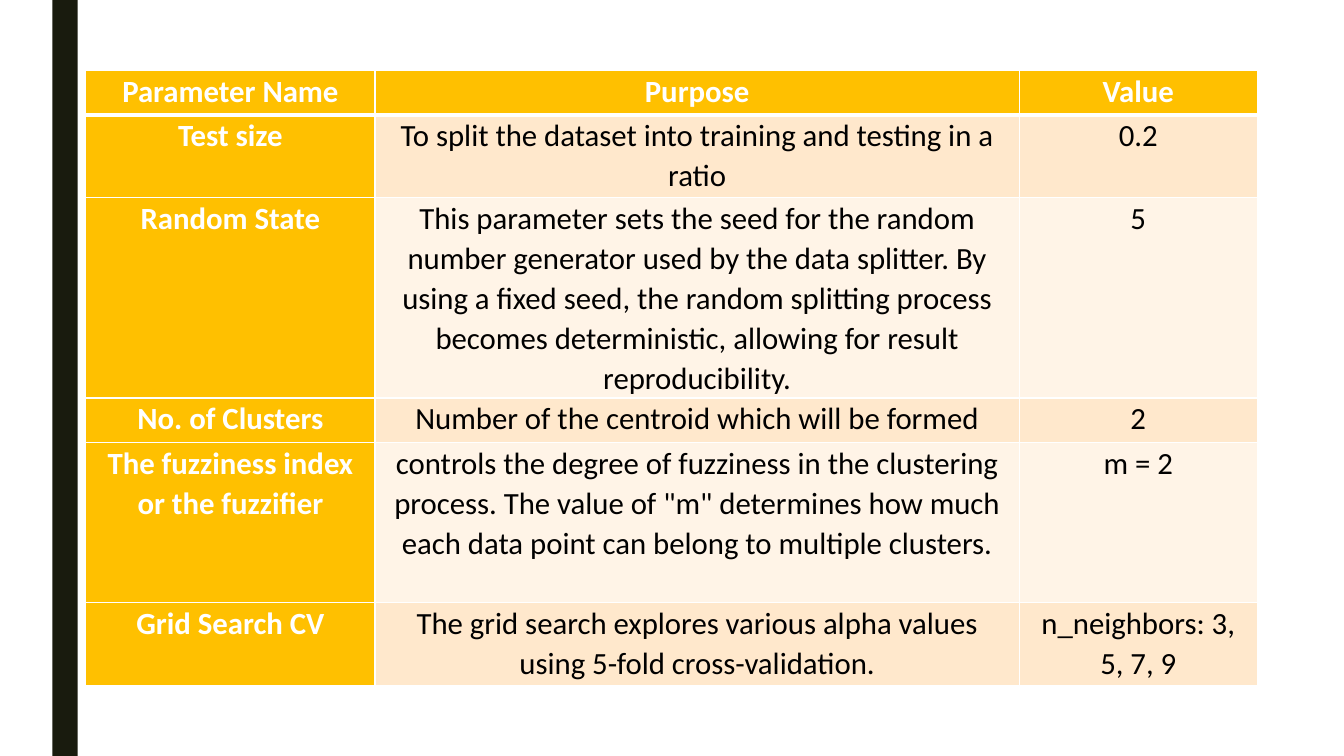
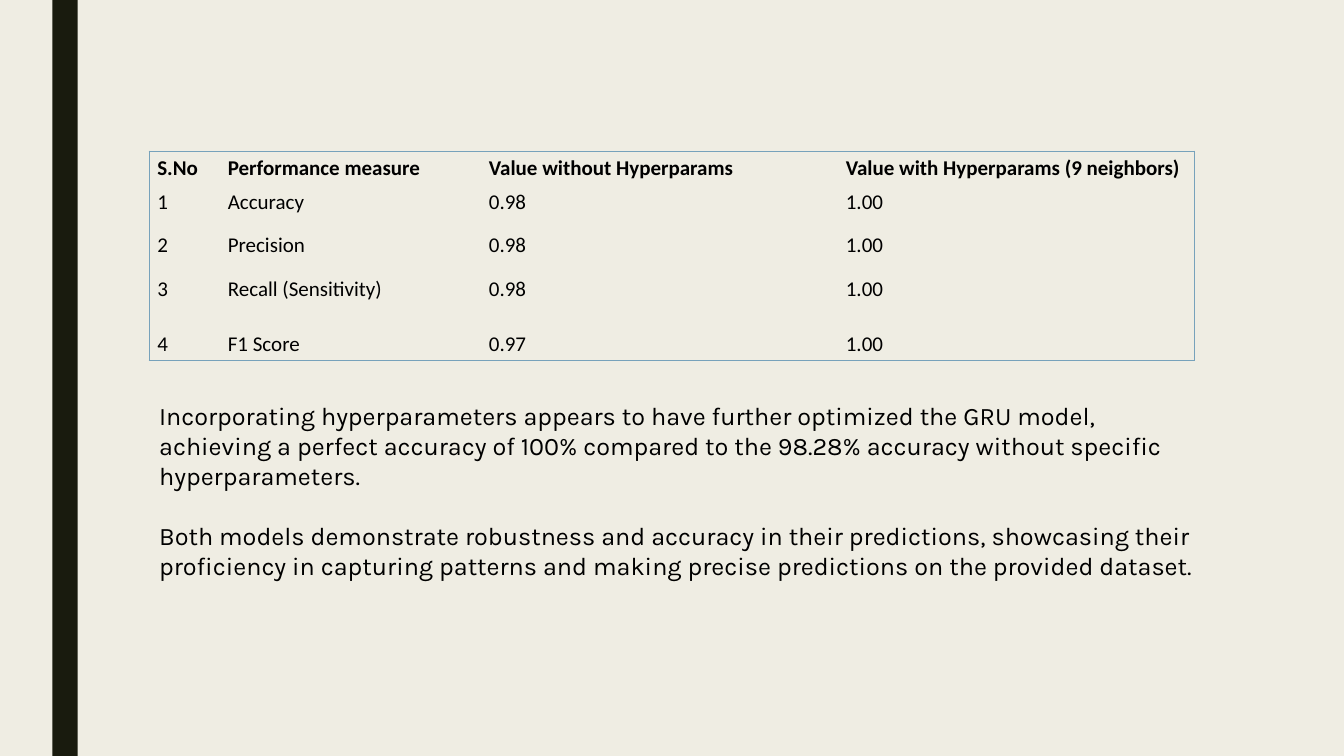
from dataclasses import dataclass

from lxml import etree
from pptx import Presentation
from pptx.dml.color import RGBColor
from pptx.enum import shapes, text
from pptx.oxml.ns import qn
from pptx.util import Inches, Pt


@dataclass(frozen=True)
class Theme:
    paper: str = "EFEDE3"
    white: str = "FFFFFF"
    black: str = "000000"
    band: str = "191B0E"
    gold: str = "FFC000"
    stripes: tuple = ("FFE8CC", "FFF4E7")
    frame: str = "77A2BB"
    table_font: str = "Calibri"
    body_font: str = "Karla"
    parameter_size: int = 22
    measure_size: int = 15
    body_size: int = 18


THEME = Theme()
PLAIN_TABLE_STYLE = "{2D5ABB26-0587-4C30-8999-92F81FD0307C}"

PARAMETERS = [
    ("Parameter Name", "Purpose", "Value"),
    ("Test size", "To split the dataset into training and testing in a ratio", "0.2"),
    ("Random State",
     "This parameter sets the seed for the random number generator used by the "
     "data splitter. By using a fixed seed, the random splitting process becomes "
     "deterministic, allowing for result reproducibility.", "5"),
    ("No. of Clusters", "Number of the centroid which will be formed", "2"),
    ("The fuzziness index or the fuzzifier",
     "controls the degree of fuzziness in the clustering process. The value of "
     '"m" determines how much each data point can belong to multiple clusters.',
     "m = 2"),
    ("Grid Search CV",
     "The grid search explores various alpha values using 5-fold cross-validation.",
     "n_neighbors: 3, 5, 7, 9"),
]
PARAMETER_COLUMNS = (2.87, 6.39, 2.36)
PARAMETER_ROWS = (0.44, 0.82, 1.98, 0.44, 1.59, 0.82)

MEASURES = [
    ("S.No", "Performance measure", "Value without Hyperparams",
     "Value with Hyperparams (9 neighbors)"),
    ("1", "Accuracy", "0.98", "1.00"),
    ("2", "Precision", "0.98", "1.00"),
    ("3", "Recall (Sensitivity)", "0.98", "1.00"),
    ("4", "F1 Score", "0.97", "1.00"),
]
MEASURE_COLUMNS = (0.7, 2.59, 3.54, 3.54)
MEASURE_ROWS = (0.34, 0.43, 0.43, 0.55, 0.31)

FINDINGS = [
    "Incorporating hyperparameters appears to have further optimized the GRU model, "
    "achieving a perfect accuracy of 100% compared to the 98.28% accuracy without "
    "specific hyperparameters.",
    "Both models demonstrate robustness and accuracy in their predictions, showcasing "
    "their proficiency in capturing patterns and making precise predictions on the "
    "provided dataset.",
]


def paint(fill, color):
    fill.solid()
    fill.fore_color.rgb = RGBColor.from_string(color)


def style_font(font, name, size, color, bold=False):
    font.name, font.size, font.bold = name, Pt(size), bold
    font.color.rgb = RGBColor.from_string(color)


def set_borders(cell, color, widths):
    """Draw cell edges; widths maps L, R, T, B to points, 0 for none."""
    properties = cell._tc.get_or_add_tcPr()
    for place, side in enumerate("LRTB"):
        width = widths.get(side, 0)
        edge = etree.Element(qn(f"a:ln{side}"), w=str(Pt(width)))
        if width:
            solid = etree.SubElement(edge, qn("a:solidFill"))
            etree.SubElement(solid, qn("a:srgbClr"), val=color)
        else:
            etree.SubElement(edge, qn("a:noFill"))
        properties.insert(place, edge)


def add_grid(slide, left, top, columns, rows, content, margins, style_cell):
    """Add a table and pass every filled cell to style_cell(cell, row, column)."""
    frame = slide.shapes.add_table(
        len(rows), len(columns), Inches(left), Inches(top),
        Inches(sum(columns)), Inches(sum(rows)))
    table = frame.table
    table.first_row = table.horz_banding = False
    frame.element.find(".//" + qn("a:tableStyleId")).text = PLAIN_TABLE_STYLE
    for column, width in zip(table.columns, columns):
        column.width = Inches(width)
    side, end = map(Inches, margins)
    for r, (height, words) in enumerate(zip(rows, content)):
        table.rows[r].height = Inches(height)
        for c, word in enumerate(words):
            cell = table.cell(r, c)
            cell.text = word
            cell.margin_left = cell.margin_right = side
            cell.margin_top = cell.margin_bottom = end
            style_cell(cell, r, c)


def style_parameter(cell, row, column):
    heading = row == 0 or column == 0
    paragraph = cell.text_frame.paragraphs[0]
    paragraph.alignment = text.PP_ALIGN.CENTER
    paragraph.line_spacing = 1.07
    paragraph.space_after = Pt(8)
    style_font(paragraph.font, THEME.table_font, THEME.parameter_size,
               THEME.white if heading else THEME.black, heading)
    paint(cell.fill, THEME.gold if heading else THEME.stripes[(row - 1) % 2])
    set_borders(cell, THEME.white, {
        "L": 1, "R": 1, "T": 3 if row == 1 else 1, "B": 3 if row == 0 else 1})


def style_measure(cell, row, column):
    style_font(cell.text_frame.paragraphs[0].font, THEME.table_font,
               THEME.measure_size, THEME.black, row == 0)
    cell.fill.background()
    set_borders(cell, THEME.frame, {
        "L": column == 0, "R": column == len(MEASURE_COLUMNS) - 1,
        "T": row == 0, "B": row == len(MEASURE_ROWS) - 1})


def add_findings(slide):
    box = slide.shapes.add_textbox(
        Inches(1.48), Inches(3.92), Inches(10.51), Inches(1.92))
    frame = box.text_frame
    frame.word_wrap = True
    frame.text = "\n".join(FINDINGS)
    for paragraph in frame.paragraphs:
        style_font(paragraph.font, THEME.body_font, THEME.body_size, THEME.black)
    for paragraph in frame.paragraphs[1:]:
        paragraph.space_before = Pt(21)


def set_up_master(prs, slide):
    """Give the master its background and side band, drawn first on a slide."""
    master = prs.slide_master
    paint(master.background.fill, THEME.paper)
    band = slide.shapes.add_shape(
        shapes.MSO_SHAPE.RECTANGLE, Inches(0.52), 0, Inches(0.25), prs.slide_height)
    paint(band.fill, THEME.band)
    band.line.fill.background()
    band.shadow.inherit = False
    master.shapes.element.insert(2, band.element)


def main():
    prs = Presentation()
    prs.slide_width, prs.slide_height = Inches(13.33), Inches(7.5)
    blank = prs.slide_layouts[6]

    parameters = prs.slides.add_slide(blank)
    set_up_master(prs, parameters)
    paint(parameters.background.fill, THEME.white)
    add_grid(parameters, 0.85, 0.7, PARAMETER_COLUMNS, PARAMETER_ROWS,
             PARAMETERS, (0.13, 0), style_parameter)

    results = prs.slides.add_slide(blank)
    add_findings(results)
    add_grid(results, 1.48, 1.5, MEASURE_COLUMNS, MEASURE_ROWS,
             MEASURES, (0.08, 0.04), style_measure)

    prs.save("out.pptx")


if __name__ == "__main__":
    main()
